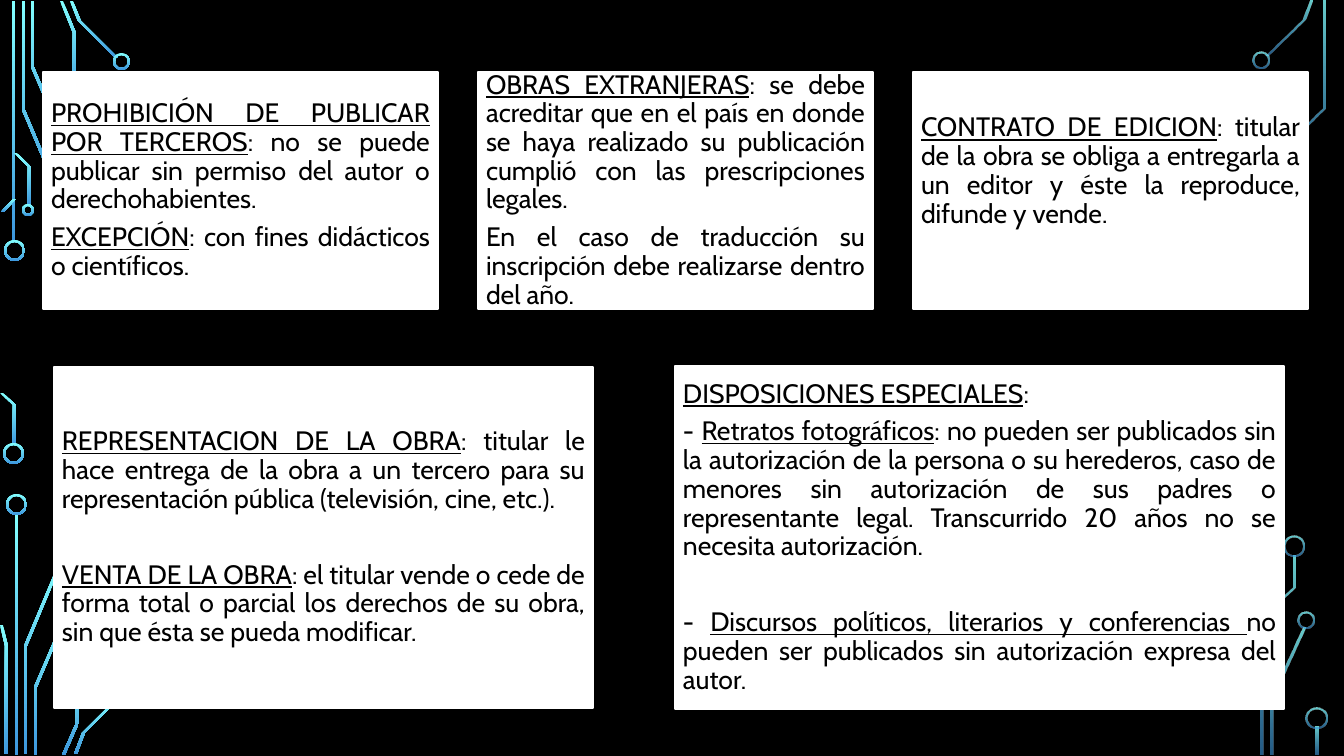
import pptx
import pptx.util
import pptx.dml.color
import pptx.enum.shapes
import pptx.enum.text
import pptx.oxml.ns
import lxml.etree

EMU_PER_PX = 914400 / 100.8
TRACK_WIDTH = 3
RING_WIDTH = 2
INSET = 8
LINE_SKIP = 38  # height of one line with its gap
GAP = 9
WIDE_GAP = GAP + LINE_SKIP

# Circuit tracks: left edge of each strip, point by point
LEFT_TRACKS = [
    [(12, 1), (12, 242)],
    [(22, 1), (22, 110), (60, 200)],
    [(31, 1), (31, 67), (70, 158)],
    [(60, 1), (73, 33), (73, 101)],
    [(70, 1), (78, 21), (115, 58)],
    [(13, 199), (1, 212)],
    [(0, 393), (13, 405), (13, 445)],
    [(14, 153), (28, 167), (28, 205)],
    [(15, 514), (15, 755)],
    [(62, 555), (24, 646), (24, 754)],
    [(0, 625), (5, 646), (5, 754)],
    [(72, 598), (34, 687), (34, 755)],
    [(76, 655), (76, 723), (62, 755)],
    [(117, 698), (82, 733), (74, 754)],
]
RIGHT_TRACKS = [
    [(1309, 1), (1302, 20), (1266, 56)],
    [(1302, 628), (1271, 699), (1271, 755)],
    [(1322, 1), (1322, 108), (1291, 139), (1291, 170)],
    [(1292, 556), (1292, 588), (1261, 618), (1261, 755)],
    [(1316, 727), (1316, 755)],
]
# Rings: left, top, diameter
LEFT_RINGS = [(4, 240, 21), (3, 443, 21), (113, 53, 17), (22, 204, 12), (6, 494, 21)]
RIGHT_RINGS = [(1253, 52, 17), (1298, 612, 17), (1283, 536, 21), (1306, 708, 21)]

# Cards: paragraphs with the gap below; underscores enclose underlined words
TOP_CARDS = [
    [("_PROHIBICIÓN DE PUBLICAR POR TERCEROS_: no se puede publicar sin permiso "
      "del autor o derechohabientes.", GAP),
     ("_EXCEPCIÓN_: con fines didácticos o científicos.", GAP)],
    [("_OBRAS EXTRANJERAS_: se debe acreditar que en el país en donde se haya "
      "realizado su publicación cumplió con las prescripciones legales.", GAP),
     ("En el caso de traducción su inscripción debe realizarse dentro del año.", GAP)],
    [("_CONTRATO DE EDICION_: titular de la obra se obliga a entregarla a un editor "
      "y éste la reproduce, difunde y vende.", GAP)],
]
WORK_CARD = [
    ("_REPRESENTACION DE LA OBRA_: titular le hace entrega de la obra a un tercero "
     "para su representación pública (televisión, cine, etc.).", WIDE_GAP),
    ("_VENTA DE LA OBRA_: el titular vende o cede de forma total o parcial los "
     "derechos de su obra, sin que ésta se pueda modificar.", GAP),
]
SPECIAL_CARD = [
    ("_DISPOSICIONES ESPECIALES_:", GAP),
    ("- _Retratos fotográficos_: no pueden ser publicados sin la autorización de la "
     "persona o su herederos, caso de menores sin autorización de sus padres o "
     "representante legal. Transcurrido 20 años no se necesita autorización.", WIDE_GAP),
    ("- _Discursos políticos, literarios y conferencias _no pueden ser publicados "
     "sin autorización expresa del autor.", GAP),
]


def px(length):
    return pptx.util.Emu(round(length * EMU_PER_PX))


def color(hex_text):
    return pptx.dml.color.RGBColor.from_string(hex_text)


def paint_circuit(shape, opacities):
    """Vertical gradient from cyan to blue, without outline or shadow."""
    shape.shadow.inherit = False
    shape.line.fill.background()
    shape.fill.gradient()
    shape.fill.gradient_angle = 270
    for stop, position, hex_text in zip(shape.fill.gradient_stops, (0, 1), ("82FFFF", "3D97DE")):
        stop.position = position
        stop.color.rgb = color(hex_text)
    tones = shape.element.spPr.iter(pptx.oxml.ns.qn("a:srgbClr"))
    for tone, opacity in zip(tones, opacities):
        alpha = lxml.etree.SubElement(tone, pptx.oxml.ns.qn("a:alpha"))
        alpha.set("val", str(opacity * 1000))


def add_track(page, points, opacities):
    far_edge = [(x + TRACK_WIDTH, y) for x, y in reversed(points)]
    builder = page.shapes.build_freeform(*points[0], scale=EMU_PER_PX)
    builder.add_line_segments(points[1:] + far_edge, close=True)
    paint_circuit(builder.convert_to_shape(), opacities)


def add_ring(page, left, top, size, opacities):
    ring = page.shapes.add_shape(
        pptx.enum.shapes.MSO_SHAPE.DONUT, px(left), px(top), px(size), px(size))
    ring.adjustments[0] = RING_WIDTH / size
    paint_circuit(ring, opacities)


def add_circuit(page, tracks, rings, opacities):
    for points in tracks:
        add_track(page, points, opacities)
    for left, top, size in rings:
        add_ring(page, left, top, size, opacities)


def write_paragraph(para, text, gap):
    para.alignment = pptx.enum.text.PP_ALIGN.JUSTIFY
    para.line_spacing = 0.9
    para.space_after = px(gap)
    for index, piece in enumerate(text.split("_")):
        if not piece:
            continue
        span = para.add_run()
        span.text = piece
        span.font.name = "Cabin"
        span.font.size = pptx.util.Pt(19)
        span.font.color.rgb = color("000000")
        span.font.underline = index % 2 == 1


def add_card(page, left, top, width, height, paragraphs, bottom_inset=INSET):
    box = page.shapes.add_shape(
        pptx.enum.shapes.MSO_SHAPE.RECTANGLE, px(left), px(top), px(width), px(height))
    box.shadow.inherit = False
    box.fill.solid()
    box.fill.fore_color.rgb = color("FFFFFF")
    box.line.color.rgb = color("FFFFFF")
    box.line.width = pptx.util.Pt(1.25)
    frame = box.text_frame
    frame.word_wrap = True
    frame.vertical_anchor = pptx.enum.text.MSO_ANCHOR.MIDDLE
    frame.margin_left = frame.margin_right = frame.margin_top = px(INSET)
    frame.margin_bottom = px(bottom_inset)
    for index, (text, gap) in enumerate(paragraphs):
        para = frame.add_paragraph() if index else frame.paragraphs[0]
        write_paragraph(para, text, gap)


def main():
    deck = pptx.Presentation()
    deck.slide_width, deck.slide_height = px(1344), px(756)
    page = deck.slides.add_slide(deck.slide_layouts[6])
    page.background.fill.solid()
    page.background.fill.fore_color.rgb = color("000000")

    # Circuit decoration
    add_circuit(page, LEFT_TRACKS, LEFT_RINGS, (100, 100))
    add_circuit(page, RIGHT_TRACKS, RIGHT_RINGS, (80, 60))

    # Top row; the last card's text sits one line higher
    for column, paragraphs in enumerate(TOP_CARDS):
        bottom_inset = INSET + LINE_SKIP if column == 2 else INSET
        add_card(page, 43 + 435 * column, 72, 395, 237, paragraphs, bottom_inset)

    # Bottom row
    add_card(page, 54, 367, 539, 341, WORK_CARD)
    add_card(page, 675, 366, 609, 343, SPECIAL_CARD)

    deck.save("out.pptx")


if __name__ == "__main__":
    main()
